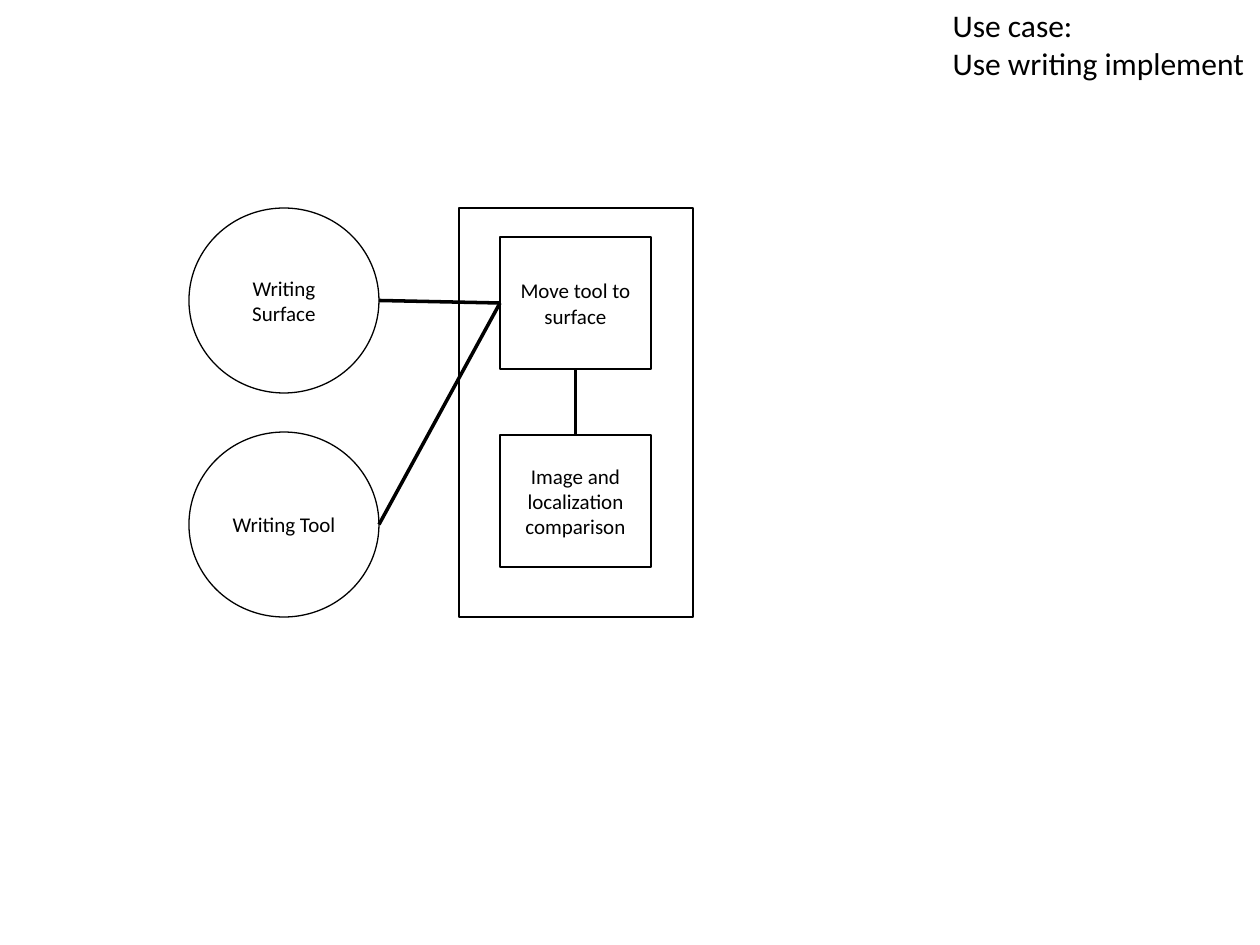
import pptx
import pptx.dml.color
import pptx.enum.shapes
import pptx.enum.text
import pptx.oxml.ns
import pptx.util
from lxml import etree

SCALE = 914400 // 126
BLACK = "000000"
SHAPES = pptx.enum.shapes.MSO_SHAPE
ALIGN = pptx.enum.text.PP_ALIGN
ANCHOR = pptx.enum.text.MSO_ANCHOR


def px(length):
    """Turn picture pixels into EMU."""
    return pptx.util.Emu(round(length * 914400 / 126))


def colour(hex_string):
    """Turn a hex string into a colour."""
    return pptx.dml.color.RGBColor.from_string(hex_string)


def format_text(frame, text, size, align, anchor):
    """Fill a text frame and format its paragraphs."""
    frame.text = text
    frame.vertical_anchor = anchor
    for paragraph in frame.paragraphs:
        paragraph.alignment = align
        paragraph.font.name = "Calibri"
        paragraph.font.size = pptx.util.Pt(size)
        paragraph.font.color.rgb = colour(BLACK)


def add_outline(slide, kind, box, label=""):
    """Add an unfilled outlined shape, with a centred label if given."""
    outline = slide.shapes.add_shape(kind, *map(px, box))
    outline.shadow.inherit = False
    outline.fill.background()
    outline.line.color.rgb = colour(BLACK)
    outline.line.width = pptx.util.Pt(0.75)
    if label:
        outline.text_frame.word_wrap = True
        format_text(outline.text_frame, label, 12, ALIGN.CENTER, ANCHOR.MIDDLE)


def add_link(slide, start, end):
    """Add a thick straight line between two points."""
    link = slide.shapes.add_connector(
        pptx.enum.shapes.MSO_CONNECTOR.STRAIGHT, *map(px, start + end))
    link.line.color.rgb = colour(BLACK)
    link.line.width = pptx.util.Pt(2)
    properties = link._element.spPr
    etree.SubElement(properties, pptx.oxml.ns.qn("a:effectLst"))


def add_heading(slide, box, text):
    """Place the use case heading in the title placeholder."""
    heading = slide.shapes.title
    heading.left, heading.top, heading.width, heading.height = map(px, box)
    frame = heading.text_frame
    frame.auto_size = pptx.enum.text.MSO_AUTO_SIZE.SHAPE_TO_FIT_TEXT
    frame.word_wrap = False
    format_text(frame, text, 18, ALIGN.LEFT, ANCHOR.TOP)


def add_objects(slide, box, labels):
    """Stack the object circles in a box and return their right ends."""
    left, top, width, height = box
    diameter = 185
    pitch = (height - diameter) / (len(labels) - 1)
    ends = []
    for index, label in enumerate(labels):
        circle_top = top + index * pitch
        add_outline(slide, SHAPES.OVAL, (left, circle_top, width, diameter), label)
        ends.append((left + width, circle_top + diameter / 2))
    return ends


def add_process(slide, box, labels):
    """Draw the framed, linked steps and return the first one's left end."""
    left, top, width, height = box
    add_outline(slide, SHAPES.RECTANGLE, box)
    step_left, first_top = left + 41, top + 29
    step_width, step_height, pitch = 151, 132, 198
    middle = step_left + step_width / 2
    for index, label in enumerate(labels):
        step_top = first_top + index * pitch
        add_outline(slide, SHAPES.RECTANGLE,
                    (step_left, step_top, step_width, step_height), label)
        if index:
            add_link(slide, (middle, step_top),
                     (middle, step_top - pitch + step_height))
    return step_left, first_top + step_height / 2


def build():
    """Build and save the use case slide."""
    deck = pptx.Presentation()
    deck.slide_width, deck.slide_height = px(1260), px(945)
    slide = deck.slides.add_slide(deck.slide_layouts[5])
    add_heading(slide, (940, 0, 320, 89), "Use case:\nUse writing implement")
    object_ends = add_objects(slide, (189, 208, 190, 409),
                              ["Writing Surface", "Writing Tool"])
    process_start = add_process(slide, (459, 208, 234, 409),
                                ["Move tool to surface",
                                 "Image and localization comparison"])
    for object_end in object_ends:
        add_link(slide, object_end, process_start)
    deck.save("out.pptx")


build()
